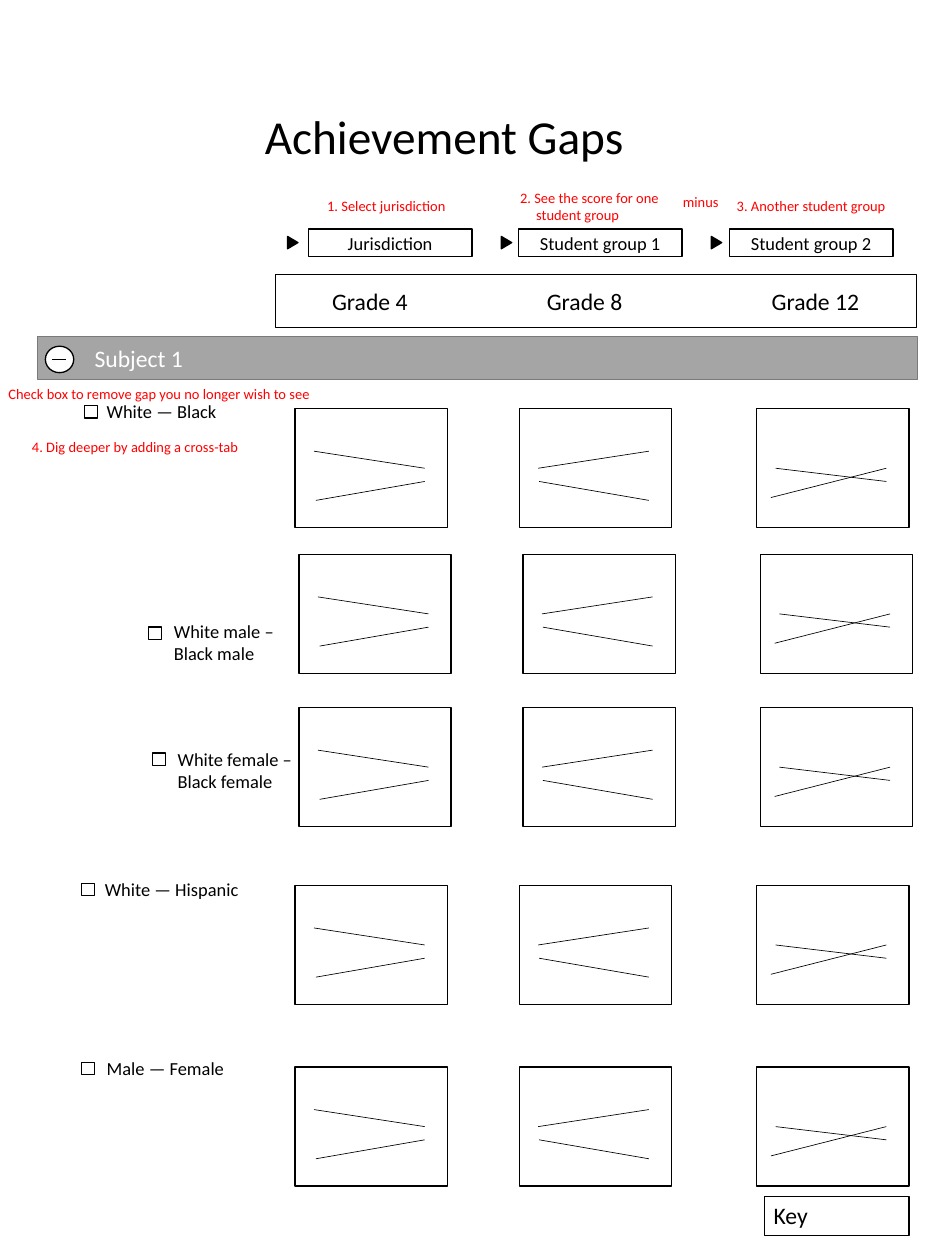
from pptx import Presentation
from pptx.dml.color import RGBColor
from pptx.enum.shapes import MSO_CONNECTOR as CONNECTOR, MSO_SHAPE as SHAPE
from pptx.enum.text import MSO_ANCHOR as ANCHOR, MSO_AUTO_SIZE as AUTO_SIZE, PP_ALIGN as ALIGN
from pptx.oxml.ns import qn
from pptx.util import Inches, Pt

BLACK = RGBColor(0x00, 0x00, 0x00)
WHITE = RGBColor(0xFF, 0xFF, 0xFF)
RED = RGBColor(0xFF, 0x00, 0x00)
GRAY = RGBColor(0xA5, 0xA5, 0xA5)
DARK_GRAY = RGBColor(0x7A, 0x7A, 0x7A)

FONT = "Calibri"
CHART_WIDTH, CHART_HEIGHT = 1.61, 1.26
CHART_COLUMNS = {
    3.12: [(0.2, 0.45, 1.37, 0.63), (0.22, 0.97, 1.37, 0.77)],
    5.49: [(1.37, 0.45, 0.2, 0.63), (1.37, 0.97, 0.21, 0.77)],
    8.0: [(1.37, 0.77, 0.2, 0.63), (1.37, 0.63, 0.15, 0.94)],
}
GAP_ROWS = [
    ("White — Black", (1.03, 4.18), (0.89, 4.29), 0, 4.32),
    ("White male – Black male", (1.74, 6.51), (1.57, 6.63), 0.04, 5.86),
    ("White female – Black female", (1.78, 7.86), (1.61, 7.96), 0.04, 7.48),
    ("White — Hispanic", (1.01, 9.23), (0.86, 9.34), 0, 9.36),
    ("Male — Female", (1.03, 11.13), (0.86, 11.23), 0, 11.28),
]
SELECTORS = [("Jurisdiction", 3.26, 3.03), ("Student group 1", 5.48, 5.29),
             ("Student group 2", 7.71, 7.51)]
HINTS = [
    ("1. Select jurisdiction", 3.36, 2.03, 1.61, 0),
    ("2. See the score for one student group", 5.4, 1.95, 1.8, 0.17),
    ("minus", 7.12, 1.99, 0.58, 0),
    ("3. Another student group", 7.69, 2.03, 1.8, 0),
    ("Check box to remove gap you no longer wish to see", -0.01, 4.02, 4.1, 0),
    ("4. Dig deeper by adding a cross-tab", 0.24, 4.58, 2.87, 0),
]


def write_text(shape, text, size=14, color=BLACK, align=ALIGN.LEFT, anchor=ANCHOR.TOP,
               inset=0.1, padding=0.05, hanging=0):
    """Put one formatted paragraph into a shape."""
    frame = shape.text_frame
    frame.word_wrap = True
    frame.auto_size = AUTO_SIZE.NONE
    frame.vertical_anchor = anchor
    frame.margin_left, frame.margin_right = Inches(inset), Inches(0.1)
    frame.margin_top = frame.margin_bottom = Inches(padding)
    paragraph = frame.paragraphs[0]
    paragraph.alignment = align
    if hanging:
        properties = paragraph._p.get_or_add_pPr()
        properties.set("marL", str(Inches(hanging)))
        properties.set("indent", str(-Inches(hanging)))
    run = paragraph.add_run()
    run.text = text
    run.font.name, run.font.size, run.font.color.rgb = FONT, Pt(size), color


def add_label(shapes, text, left, top, width, height, **style):
    """Add a text box."""
    box = shapes.add_textbox(Inches(left), Inches(top), Inches(width), Inches(height))
    write_text(box, text, **style)


def add_box(shapes, left, top, width, height, kind=SHAPE.RECTANGLE, fill=WHITE, outline=BLACK):
    """Add an outlined preset shape, unfilled when fill is None."""
    shape = shapes.add_shape(kind, Inches(left), Inches(top), Inches(width), Inches(height))
    shape.shadow.inherit = False
    if fill is None:
        shape.fill.background()
    else:
        shape.fill.solid()
        shape.fill.fore_color.rgb = fill
    shape.line.color.rgb = outline
    shape.line.width = Pt(1)
    return shape


def add_line(shapes, start_x, start_y, end_x, end_y):
    """Add a thin black line."""
    line = shapes.add_connector(CONNECTOR.STRAIGHT, Inches(start_x), Inches(start_y),
                                Inches(end_x), Inches(end_y))
    line.line.color.rgb = BLACK
    line.line.width = Pt(0.5)
    properties = line._element.spPr
    properties.append(properties.makeelement(qn("a:effectLst"), {}))


def add_title(slide, left, top, width, height):
    """Place and fill the title placeholder."""
    title = slide.shapes.title
    title.left, title.top = Inches(left), Inches(top)
    title.width, title.height = Inches(width), Inches(height)
    write_text(title, "Achievement Gaps", size=36)


def add_selectors(shapes, top):
    """Add the selection boxes and their arrowheads."""
    for text, left, arrow_left in SELECTORS:
        box = add_box(shapes, left, top, 1.73, 0.29)
        write_text(box, text, align=ALIGN.CENTER, anchor=ANCHOR.MIDDLE, padding=0)
        arrow = add_box(shapes, arrow_left, top + 0.09, 0.13, 0.11,
                        kind=SHAPE.ISOSCELES_TRIANGLE, fill=BLACK)
        arrow.rotation = 90


def add_grade_bar(shapes, left, top, width, height):
    """Add the bar that heads the chart columns."""
    add_box(shapes, left, top, width, height)
    for text, center in (("Grade 4", 1.0), ("Grade 8", 3.27), ("Grade 12", 5.71)):
        add_label(shapes, text, left + center - 0.6, top, 1.2, height,
                  size=18, align=ALIGN.CENTER, anchor=ANCHOR.MIDDLE)


def add_subject_bar(shapes, left, top, width, height):
    """Add the subject bar with its collapse button."""
    bar = add_box(shapes, left, top, width, height, fill=GRAY, outline=DARK_GRAY)
    write_text(bar, "Subject 1", size=18, color=WHITE, anchor=ANCHOR.MIDDLE, inset=0.6)
    add_box(shapes, left + 0.08, top + 0.1, 0.3, 0.28, kind=SHAPE.OVAL)
    add_line(shapes, left + 0.15, top + 0.24, left + 0.3, top + 0.24)


def add_gap_chart(shapes, left, top, trends):
    """Add a group holding a frame and its two trend lines."""
    group = shapes.add_group_shape().shapes
    add_box(group, left, top, CHART_WIDTH, CHART_HEIGHT, fill=None)
    for start_x, start_y, end_x, end_y in trends:
        add_line(group, left + start_x, top + start_y, left + end_x, top + end_y)


def add_gap_row(shapes, text, label_at, check_at, shift, top):
    """Add a check box, its label and the charts of one gap."""
    add_label(shapes, text, *label_at, 1.66, 0.57)
    add_box(shapes, *check_at, 0.14, 0.13)
    for left, trends in CHART_COLUMNS.items():
        add_gap_chart(shapes, left + shift, top, trends)


def add_key(shapes, left, top, width, height):
    """Add the key box."""
    key = add_box(shapes, left, top, width, height)
    write_text(key, "Key", size=18)


def main():
    """Build and save the presentation."""
    presentation = Presentation()
    presentation.slide_width, presentation.slide_height = Inches(9.99), Inches(13.32)
    slide = presentation.slides.add_slide(presentation.slide_layouts[5])
    shapes = slide.shapes
    add_title(slide, 2.7, 1.08, 4.57, 0.71)
    add_selectors(shapes, 2.42)
    add_grade_bar(shapes, 2.91, 2.9, 6.78, 0.56)
    add_subject_bar(shapes, 0.4, 3.56, 9.3, 0.45)
    for row in GAP_ROWS:
        add_gap_row(shapes, *row)
    for text, left, top, width, hanging in HINTS:
        add_label(shapes, text, left, top, width, 0.47 if hanging else 0.29,
                  size=11, color=RED, hanging=hanging)
    add_key(shapes, 8.08, 12.65, 1.53, 0.41)
    presentation.save("out.pptx")


if __name__ == "__main__":
    main()
